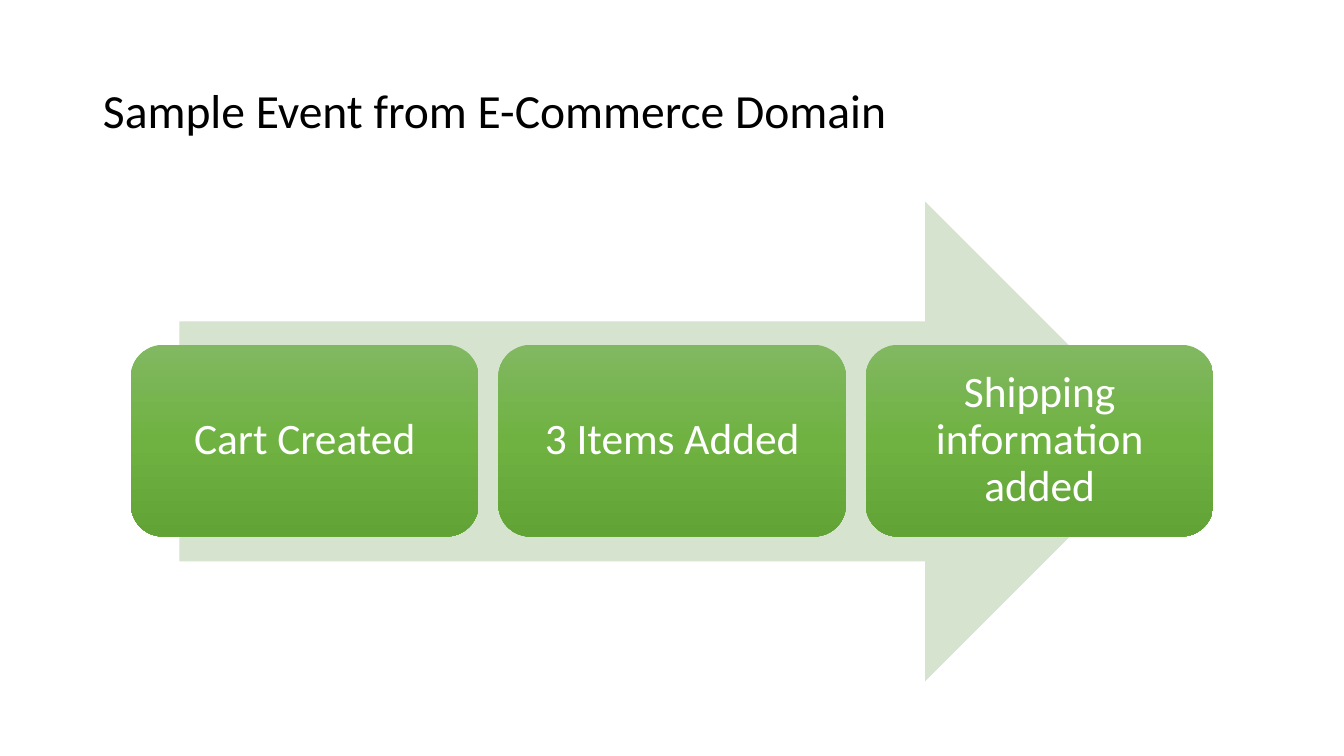
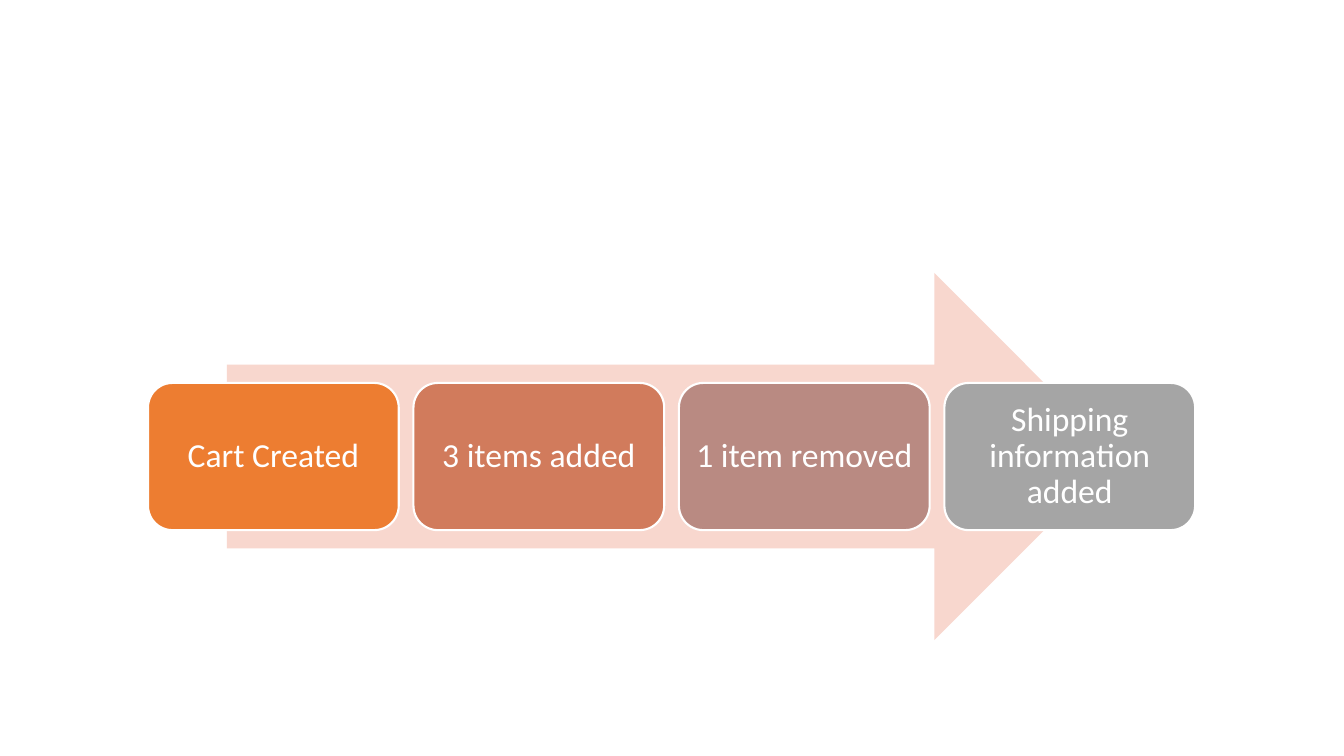
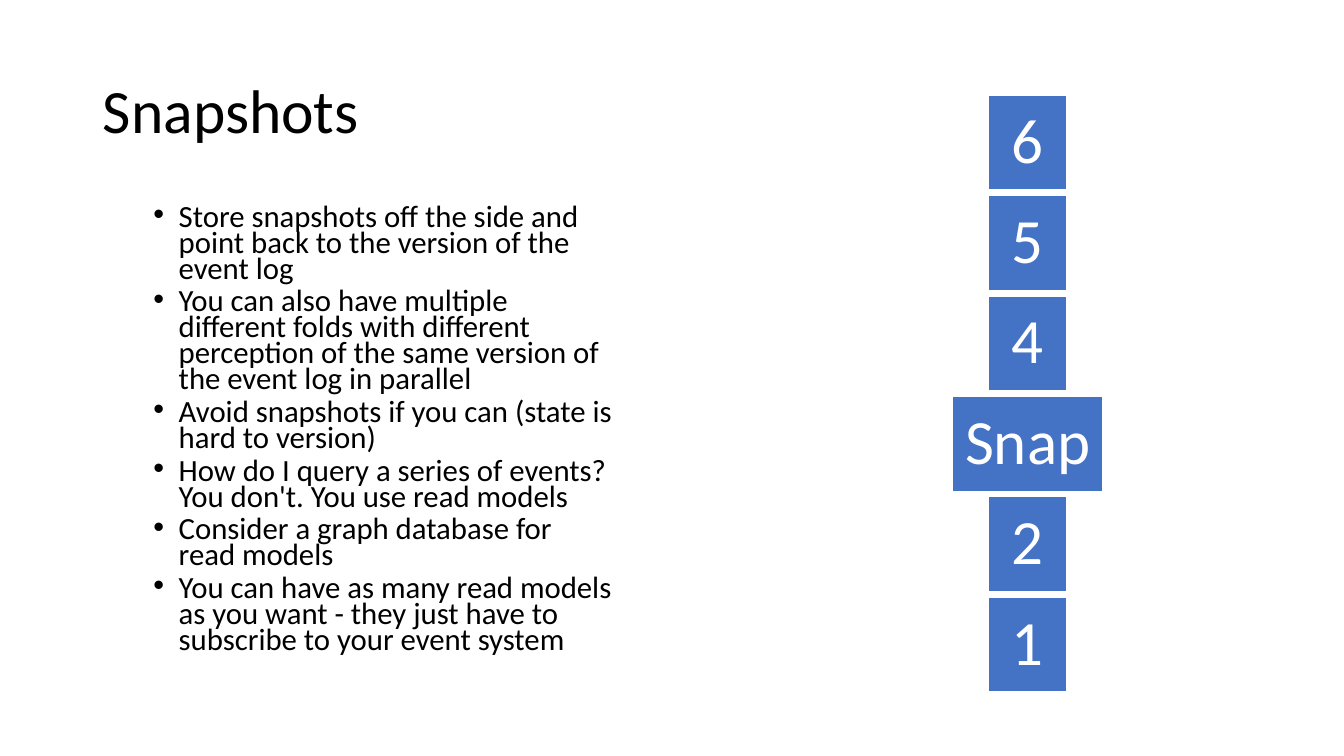
import copy

import pptx
import pptx.dml.color
import pptx.enum.shapes
import pptx.enum.text
import pptx.oxml
import pptx.oxml.ns
import pptx.util

Cm, Pt = pptx.util.Cm, pptx.util.Pt
RGBColor = pptx.dml.color.RGBColor
KIND = pptx.enum.shapes.MSO_SHAPE
ALIGN = pptx.enum.text.PP_ALIGN
MIDDLE = pptx.enum.text.MSO_ANCHOR.MIDDLE
qn = pptx.oxml.ns.qn

# Content
CART = ["Cart Created", "3 Items Added", "Shipping information added"]
CHANGE = ["Cart Created", "3 items added", "1 item removed",
          "Shipping information added"]
POINTS = [
    "Store snapshots off the side and point back to the version of the "
    "event log",
    "You can also have multiple different folds with different perception "
    "of the same version of the event log in parallel",
    "Avoid snapshots if you can (state is hard to version)",
    "How do I query a series of events? You don't. You use read models",
    "Consider a graph database for read models",
    "You can have as many read models as you want - they just have to "
    "subscribe to your event system",
]
TOWER = ["6", "5", "4", "Snap", "2", "1"]

# Style
FONT = "Calibri"
BLACK = RGBColor(0x00, 0x00, 0x00)
WHITE = RGBColor(0xFF, 0xFF, 0xFF)
BLUE = RGBColor(0x44, 0x72, 0xC4)
SAGE = RGBColor(0xD5, 0xE3, 0xCF)
PEACH = RGBColor(0xF8, 0xD7, 0xCE)
GREENS = [RGBColor(0x81, 0xB8, 0x61), RGBColor(0x6F, 0xB2, 0x42),
          RGBColor(0x62, 0xA3, 0x36)]
WARMS = [RGBColor(0xED, 0x7D, 0x31), RGBColor(0xD1, 0x7B, 0x5C),
         RGBColor(0xB9, 0x8A, 0x82), RGBColor(0xA5, 0xA5, 0xA5)]


def place(shape, left, top, width, height):
    """Move and size a shape, in centimetres."""
    shape.left, shape.top = Cm(left), Cm(top)
    shape.width, shape.height = Cm(width), Cm(height)


def style(para, size, color, align, space=0.9):
    """Format a paragraph and its runs."""
    para.alignment = align
    para.line_spacing = space
    for run in para.runs:
        run.font.name = FONT
        run.font.size = Pt(size)
        run.font.color.rgb = color


def add_title(slide, text, size):
    """Fill the title placeholder."""
    title = slide.shapes.title
    place(title, 2.34, 1.02, 29.21, 3.68)
    frame = title.text_frame
    frame.text = text
    frame.vertical_anchor = MIDDLE
    frame.auto_size = pptx.enum.text.MSO_AUTO_SIZE.NONE
    style(frame.paragraphs[0], size, BLACK, ALIGN.LEFT)


def add_list(slide, items):
    """Fill the body placeholder with bulleted points."""
    body = slide.placeholders[1]
    place(body, 2.34, 5.08, 13.39, 12.09)
    frame = body.text_frame
    frame.text = "\n".join(items)
    frame.auto_size = pptx.enum.text.MSO_AUTO_SIZE.NONE
    for para in frame.paragraphs:
        para.level = 1
        style(para, 22, BLACK, ALIGN.LEFT, 0.7)
        para.space_before = Pt(5)
        props = para._p.get_or_add_pPr()
        props.set("marL", str(Cm(1.91)))
        props.set("indent", str(Cm(-0.64)))
        for tag, key, value in (("a:buFont", "typeface", "Arial"),
                                ("a:buChar", "char", "\u2022")):
            mark = pptx.oxml.parse_xml(
                '<%s xmlns:a="%s"/>' % (tag, pptx.oxml.ns.nsuri("a")))
            mark.set(key, value)
            props.append(mark)


def add_form(slide, kind, area, color, edge=None):
    """Add a flat shape; a list of three colours gives a gradient."""
    form = slide.shapes.add_shape(kind, *map(Cm, area))
    form.shadow.inherit = False
    if isinstance(color, list):
        form.fill.gradient()
        form.fill.gradient_angle = 270
        stops = form.element.find(".//" + qn("a:gsLst"))
        stops.append(copy.deepcopy(stops[-1]))
        for stop, shade, spot in zip(form.fill.gradient_stops, color,
                                     (0, 0.5, 1)):
            stop.color.rgb = shade
            stop.position = spot
    else:
        form.fill.solid()
        form.fill.fore_color.rgb = color
    if edge is None:
        form.line.fill.background()
    else:
        form.line.color.rgb = edge
        form.line.width = Pt(1.5)
    return form


def add_label(form, text, size, inset):
    """Write centred white text in a shape."""
    frame = form.text_frame
    frame.text = text
    frame.word_wrap = True
    frame.vertical_anchor = MIDDLE
    frame.margin_left = frame.margin_right = Cm(inset)
    frame.margin_top = frame.margin_bottom = Cm(inset)
    style(frame.paragraphs[0], size, WHITE, ALIGN.CENTER)


def add_flow(slide, arrow, tint, steps, first, pitch, colors, edge, size,
             inset):
    """Lay evenly spaced steps over a wide arrow."""
    add_form(slide, KIND.RIGHT_ARROW, arrow, tint)
    left, top, width, height = first
    for i, (step, color) in enumerate(zip(steps, colors)):
        area = (left + i * pitch, top, width, height)
        box = add_form(slide, KIND.ROUNDED_RECTANGLE, area, color, edge)
        add_label(box, step, size, inset)


def add_tower(slide, names, middle=25.9, top=2.39, pitch=2.53, height=2.41):
    """Stack blocks on one centre line, wider for a word."""
    for i, name in enumerate(names):
        width = 3.81 if len(name) > 1 else 2.01
        area = (middle - width / 2, top + i * pitch, width, height)
        block = add_form(slide, KIND.RECTANGLE, area, BLUE, WHITE)
        add_label(block, name, 45, 0.29)


deck = pptx.Presentation()
deck.slide_width, deck.slide_height = Cm(33.87), Cm(19.05)
LISTED, TITLED, BLANK = (deck.slide_layouts[i] for i in (1, 5, 6))

sample = deck.slides.add_slide(TITLED)
add_title(sample, "Sample Event from E-Commerce Domain", 34)
add_flow(sample, (4.52, 5.08, 24.84, 12.09), SAGE, CART,
         (3.3, 8.69, 8.76, 4.83), 9.26, [GREENS] * len(CART), None, 31, 0.33)

change = deck.slides.add_slide(BLANK)
add_flow(change, (5.72, 6.88, 22.45, 9.25), PEACH, CHANGE,
         (3.73, 9.65, 6.32, 3.71), 6.69, WARMS, WHITE, 24, 0.24)

snaps = deck.slides.add_slide(LISTED)
add_title(snaps, "Snapshots", 44)
add_list(snaps, POINTS)
add_tower(snaps, TOWER)

deck.save("out.pptx")
